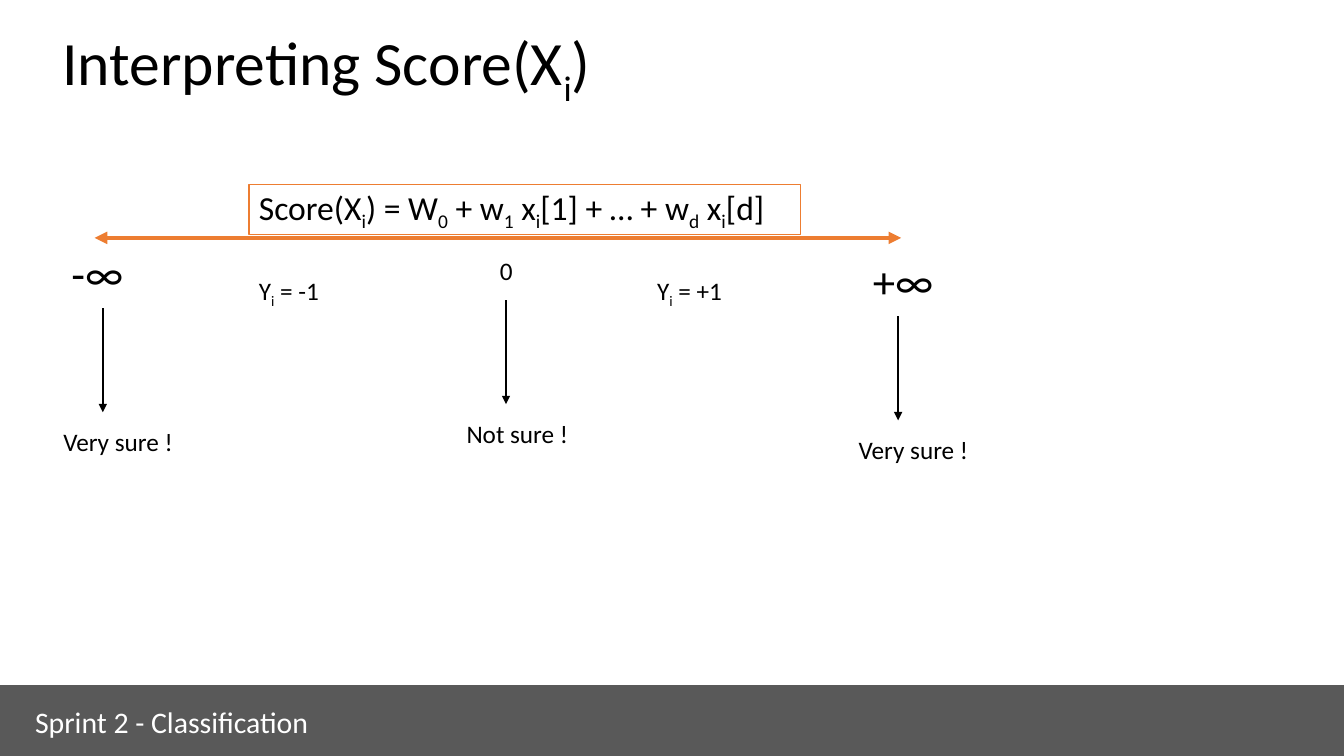
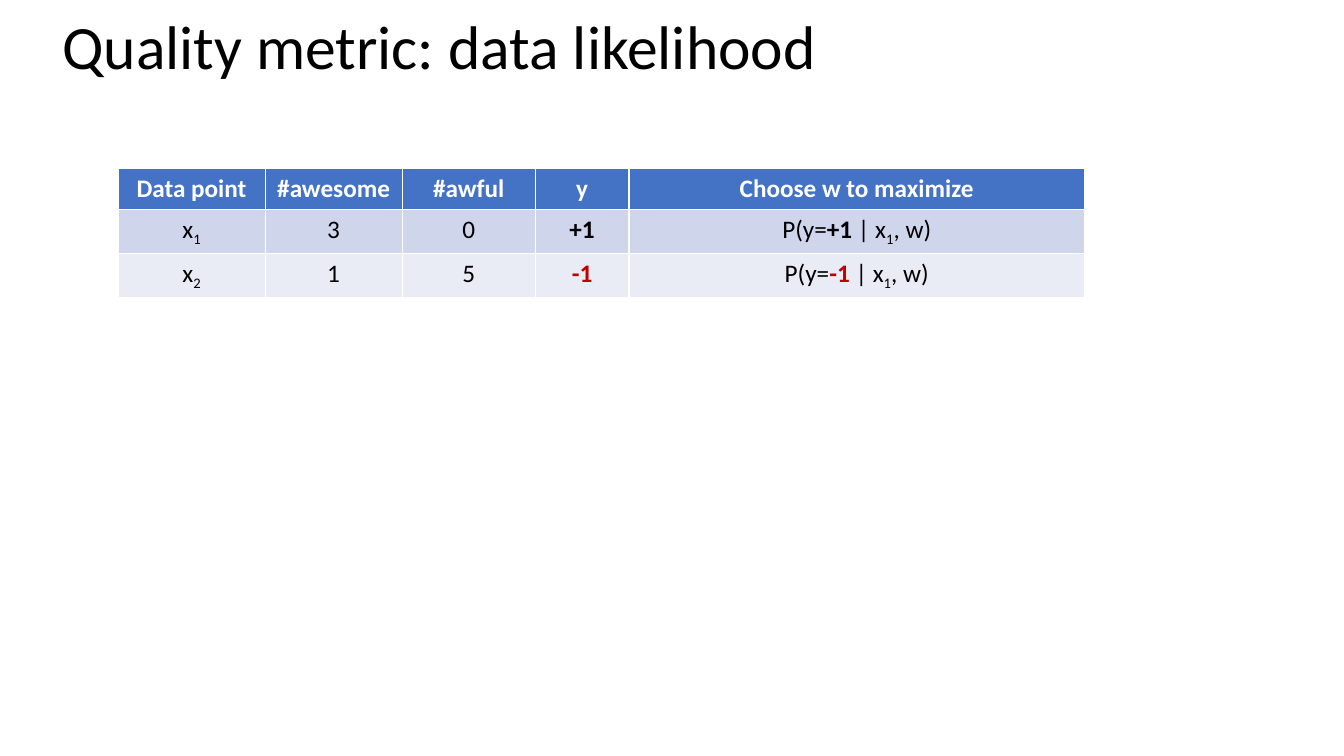
"""Builds two slides on classification scores and data likelihood."""
from typing import NamedTuple

from lxml import etree
from pptx import Presentation
from pptx import util as u
from pptx.dml.color import RGBColor
from pptx.enum import shapes, text
from pptx.oxml.ns import qn

BLACK = RGBColor(0x00, 0x00, 0x00)
WHITE = RGBColor(0xFF, 0xFF, 0xFF)
ORANGE = RGBColor(0xED, 0x7D, 0x31)
GREY = RGBColor(0x59, 0x59, 0x59)
RED = RGBColor(0xC0, 0x00, 0x00)
BLUE = RGBColor(0x44, 0x72, 0xC4)
BANDS = RGBColor(0xCF, 0xD5, 0xEA), RGBColor(0xE9, 0xEB, 0xF5)
FONT = "Calibri"
COLS, ROWS = 133.33, 75
DROP = 10.3


class Box(NamedTuple):
    """A place in grid columns and rows."""
    x: float
    y: float
    w: float
    h: float


class Mark(NamedTuple):
    """A point on the score axis with its arrow and verdict."""
    name: str
    size: float
    dx: float
    dy: float
    box_w: float
    box_h: float
    x: float
    y: float
    note: str


MARKS = (
    Mark("-∞", 32, 4.1, 6.7, 14.8, 6.4, 10.2, 30.6, "Very sure !"),
    Mark("0", 18, 1.6, 5, 8, 4, 50.2, 29.8, "Not sure !"),
    Mark("+∞", 32, 3.5, 6.7, 14.8, 6.4, 89.1, 31.4, "Very sure !"),
)
WIDTHS = 14.6, 13.6, 13.2, 9.3, 45.2
TABLE = (
    ("*Data point", "*#awesome", "*#awful", "*y", "*Choose w to maximize"),
    ("x_1", "3", "0", "*+1", "P(y=*+1 *| x_1, w)"),
    ("x_2", "1", "5", "*-1", "P(y=*-1 *| x_1, w)"),
)


def grid(*cells: float) -> list[int]:
    """Turn grid steps into lengths."""
    return [u.Inches(cell / 10) for cell in cells]


def write(frame, words: str, *, size: float = 18, color: RGBColor = BLACK,
          align=None, lead: float | None = None) -> None:
    """Write words; * toggles bold and _ lowers the next letter."""
    para = frame.paragraphs[0]
    para.alignment = align
    if lead:
        para.line_spacing = lead

    def add(part: str, bold: bool, low: bool) -> None:
        if not part:
            return
        run = para.add_run()
        run.text = part
        font = run.font
        font.name, font.size, font.bold = FONT, u.Pt(size), bold
        font.color.rgb = RED if bold and part.startswith("-") else color
        if low:
            font._element.set("baseline", "-25000")

    for i, chunk in enumerate(words.split("*")):
        first, *rest = chunk.split("_")
        add(first, i % 2 == 1, False)
        for piece in rest:
            add(piece[0], i % 2 == 1, True)
            add(piece[1:], i % 2 == 1, False)


def label(slide, box: Box, words: str, **form) -> None:
    """Add a plain text box."""
    frame = slide.shapes.add_textbox(*grid(*box)).text_frame
    frame.word_wrap = True
    write(frame, words, **form)


def panel(slide, box: Box, fill: RGBColor | None, edge: RGBColor,
          width: float = 1, words: str = "", **form) -> None:
    """Add a rectangle with optional text."""
    shape = slide.shapes.add_shape(shapes.MSO_SHAPE.RECTANGLE, *grid(*box))
    shape.shadow.inherit = False
    if fill is None:
        shape.fill.background()
    else:
        shape.fill.solid()
        shape.fill.fore_color.rgb = fill
    shape.line.color.rgb = edge
    shape.line.width = u.Pt(width)
    if words:
        shape.text_frame.word_wrap = True
        write(shape.text_frame, words, align=text.PP_ALIGN.LEFT, **form)


def arrow(slide, start: tuple[float, float], end: tuple[float, float],
          color: RGBColor, width: float, both: bool = False) -> None:
    """Add an arrow with one or two heads."""
    line = slide.shapes.add_connector(
        shapes.MSO_CONNECTOR.STRAIGHT, *grid(*start, *end))
    line.line.color.rgb = color
    line.line.width = u.Pt(width)
    pen = line.line._get_or_add_ln()
    for tag in ("a:headEnd", "a:tailEnd") if both else ("a:tailEnd",):
        etree.SubElement(pen, qn(tag)).set("type", "triangle")
    etree.SubElement(line._element.spPr, qn("a:effectLst"))


def start(deck, title: str, top: float):
    """Add a title-only slide with its title set."""
    slide = deck.slides.add_slide(deck.slide_layouts[5])
    head = slide.shapes.title
    head.left, head.top, head.width, head.height = grid(5.2, top, 120, 12.5)
    frame = head.text_frame
    frame.word_wrap = True
    frame.auto_size = text.MSO_AUTO_SIZE.NONE
    frame.vertical_anchor = text.MSO_ANCHOR.TOP
    write(frame, title, size=44, align=text.PP_ALIGN.LEFT, lead=0.9)
    return slide


def score(deck) -> None:
    """Draw the score axis."""
    slide = start(deck, "Interpreting Score(X_i)", 2)
    arrow(slide, (9.4, 23.6), (89.4, 23.6), ORANGE, 3, both=True)
    panel(slide, Box(24.7, 18.3, 54.7, 5), WHITE, ORANGE, size=24,
          words="Score(X_i) = W_0 + w_1 x_i[1] + … + w_d x_i[d]")
    for x, words in (24.7, "Y_i = -1"), (64.2, "Y_i = +1"):
        label(slide, Box(x, 26.8, 12, 4), words)
    for m in MARKS:
        label(slide, Box(m.x - m.dx, m.y - m.dy, m.box_w, m.box_h),
              m.name, size=m.size)
        arrow(slide, (m.x, m.y), (m.x, m.y + DROP), BLACK, 1.5)
        label(slide, Box(m.x - 4.9, m.y + DROP + 0.9, 23, 4), m.note)
    panel(slide, Box(0, 68, COLS, 7), GREY, GREY)
    panel(slide, Box(2.5, 69.3, 33.6, 4.6), None, GREY, 0.75, size=21.3,
          words="Sprint 2 - Classification", color=WHITE)


def metric(deck) -> None:
    """Draw the likelihood table."""
    slide = start(deck, "Quality metric: data likelihood", 1.1)
    place = grid(11.7, 16.7, sum(WIDTHS), 12.2)
    table = slide.shapes.add_table(len(TABLE), len(WIDTHS), *place).table
    for col, width in zip(table.columns, grid(*WIDTHS)):
        col.width = width
    for r, row in enumerate(TABLE):
        for c, words in enumerate(row):
            cell = table.cell(r, c)
            cell.fill.solid()
            cell.fill.fore_color.rgb = BANDS[r - 1] if r else BLUE
            write(cell.text_frame, words, align=text.PP_ALIGN.CENTER,
                  color=BLACK if r else WHITE)


def main() -> None:
    """Build and save the deck."""
    deck = Presentation()
    deck.slide_width, deck.slide_height = grid(COLS, ROWS)
    score(deck)
    metric(deck)
    deck.save("out.pptx")


if __name__ == "__main__":
    main()
